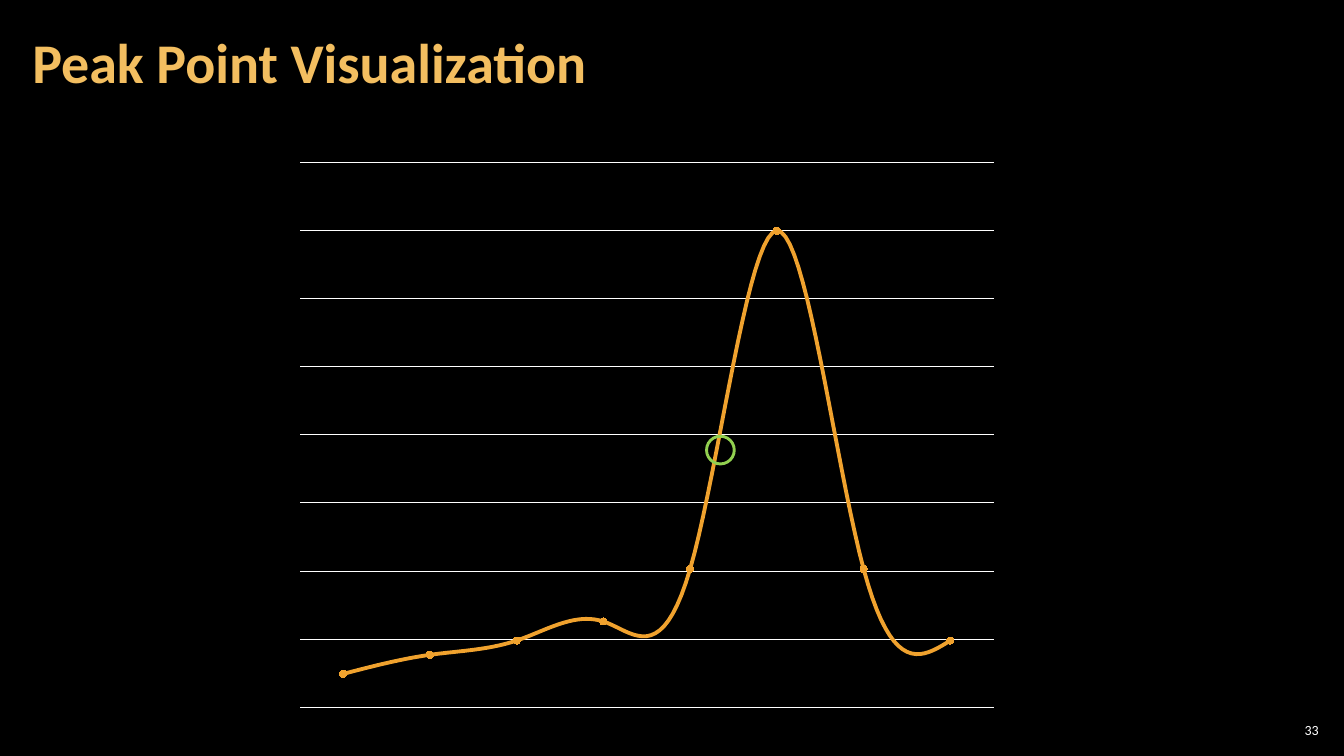
from dataclasses import dataclass

from pptx import Presentation
from pptx.chart.data import CategoryChartData
from pptx.dml.color import RGBColor
from pptx.enum import chart as charts, shapes, text
from pptx.util import Inches, Pt


@dataclass(frozen=True)
class Theme:
    background: str = "000000"
    title: str = "F3BE60"
    light: str = "FFFFFF"
    curve: str = "F0A22E"
    ring: str = "92D050"
    font: str = "Calibri"
    title_size: float = 40
    small_size: float = 10


@dataclass(frozen=True)
class Box:
    left: float
    top: float
    width: float
    height: float

    def lengths(self) -> tuple:
        return tuple(Inches(v) for v in (self.left, self.top, self.width, self.height))


THEME = Theme()
TITLE_BOX = Box(0.2, 0.04, 10.47, 1.21)
CHART_BOX = Box(2.83, 1.5, 7.17, 5.63)
RING_BOX = Box(7, 4.32, 0.29, 0.29)
NUMBER_BOX = Box(12.65, 7.14, 0.47, 0.21)
CURVE_VALUES = (7, 11, 14, 18, 29, 100, 29, 14)
GRID_STEP = 14.29  # the peak stands on the seventh of eight steps
GRID_STEPS = 8


def rgb(value: str) -> RGBColor:
    return RGBColor.from_string(value)


def write(sp, content: str, *, size: float, color: str, bold: bool = False,
          align=text.PP_ALIGN.LEFT, spacing: float = 1.0, side: float = 0.04) -> None:
    tf = sp.text_frame
    tf.word_wrap = True
    tf.auto_size = text.MSO_AUTO_SIZE.NONE
    tf.vertical_anchor = text.MSO_ANCHOR.MIDDLE
    tf.margin_left = tf.margin_right = Inches(side)
    tf.margin_top = tf.margin_bottom = Inches(0.04)
    p = tf.paragraphs[0]
    p.alignment, p.line_spacing = align, spacing
    r = p.add_run()
    r.text = content
    r.font.name, r.font.size, r.font.bold = THEME.font, Pt(size), bold
    r.font.color.rgb = rgb(color)


def add_title(slide, content: str) -> None:
    sp = slide.shapes.title
    sp.left, sp.top, sp.width, sp.height = TITLE_BOX.lengths()
    write(sp, content, size=THEME.title_size, color=THEME.title, bold=True,
          spacing=0.9, side=0.12)


def add_curve(slide) -> None:
    data = CategoryChartData()
    data.categories = [str(n) for n in range(1, 6)]
    data.add_series("Series 1", CURVE_VALUES)
    chart = slide.shapes.add_chart(
        charts.XL_CHART_TYPE.LINE_MARKERS, *CHART_BOX.lengths(), data).chart
    chart.has_title = chart.has_legend = False
    chart.font.name, chart.font.size = THEME.font, Pt(THEME.small_size)
    chart.font.color.rgb = rgb(THEME.light)

    # Hidden axes with gridlines
    chart.category_axis.visible = False
    axis = chart.value_axis
    axis.visible = False
    axis.minimum_scale, axis.major_unit = 0, GRID_STEP
    axis.maximum_scale = GRID_STEP * GRID_STEPS
    axis.has_major_gridlines = True
    grid = axis.major_gridlines.format.line
    grid.color.rgb, grid.width = rgb(THEME.light), Pt(0.75)

    # Smooth line with round markers
    plot = chart.plots[0]
    plot.vary_by_categories = False
    series = plot.series[0]
    series.smooth = True
    line = series.format.line
    line.color.rgb, line.width = rgb(THEME.curve), Pt(2.75)
    marker = series.marker
    marker.style, marker.size = charts.XL_MARKER_STYLE.CIRCLE, 5
    marker.format.fill.solid()
    marker.format.fill.fore_color.rgb = rgb(THEME.curve)
    marker.format.line.fill.background()


def add_ring(slide) -> None:
    sp = slide.shapes.add_shape(shapes.MSO_SHAPE.DONUT, *RING_BOX.lengths())
    sp.shadow.inherit = False
    sp.adjustments[0] = 0.052
    sp.fill.solid()
    sp.fill.fore_color.rgb = rgb(THEME.ring)
    sp.line.color.rgb, sp.line.width = rgb(THEME.ring), Pt(1)


def main() -> None:
    prs = Presentation()
    prs.slide_width, prs.slide_height = Inches(13.33), Inches(7.5)
    slide = prs.slides.add_slide(prs.slide_layouts.get_by_name("Title Only"))
    slide.background.fill.solid()
    slide.background.fill.fore_color.rgb = rgb(THEME.background)

    add_title(slide, "Peak Point Visualization")
    add_curve(slide)
    add_ring(slide)

    # Slide number
    number = slide.shapes.add_textbox(*NUMBER_BOX.lengths())
    write(number, "33", size=THEME.small_size, color=THEME.light,
          align=text.PP_ALIGN.RIGHT)
    prs.save("out.pptx")


if __name__ == "__main__":
    main()
